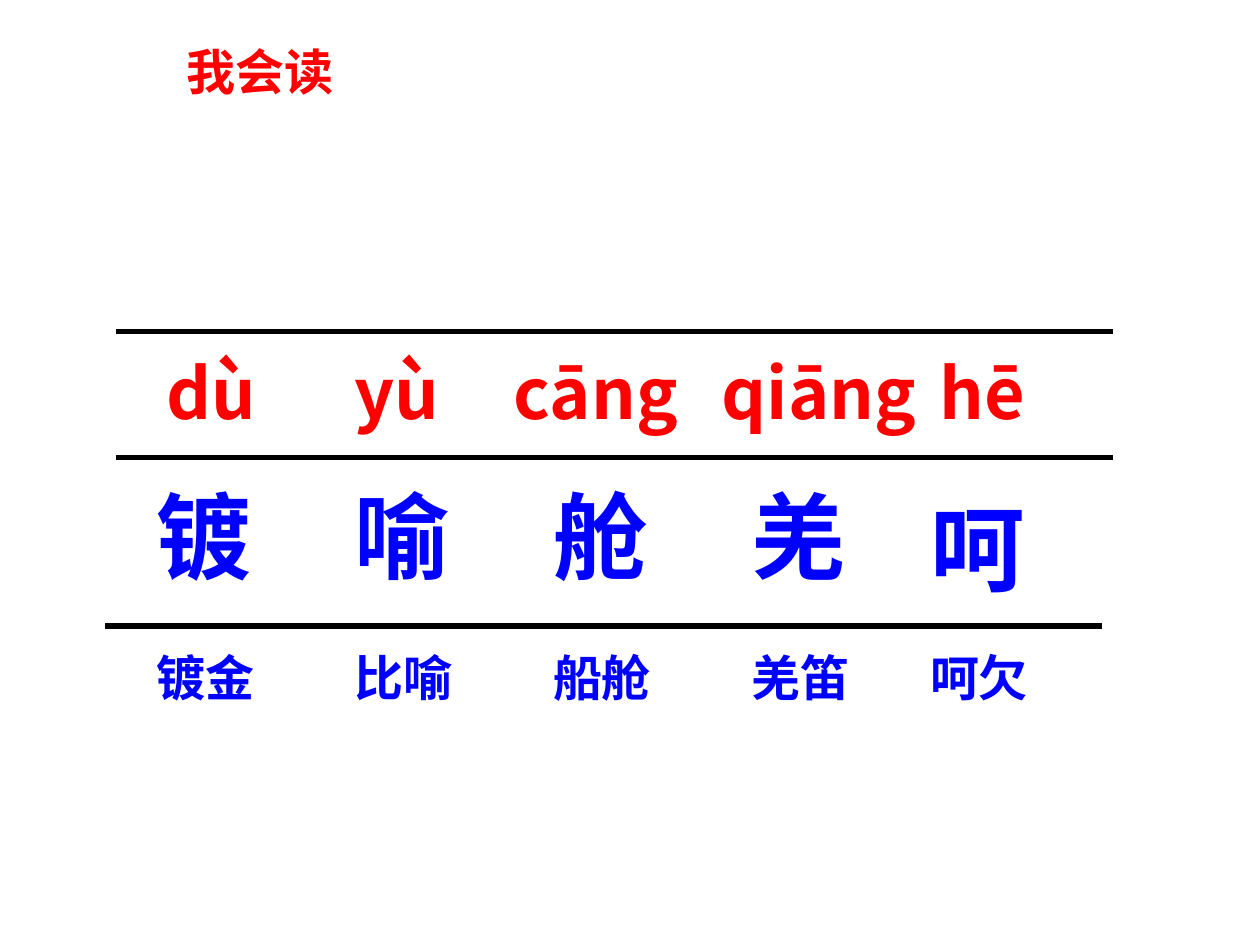
from lxml.etree import SubElement
from pptx import Presentation
from pptx.dml.color import RGBColor
from pptx.enum.shapes import MSO_CONNECTOR
from pptx.enum.text import MSO_ANCHOR, MSO_AUTO_SIZE, PP_ALIGN
from pptx.oxml.ns import qn
from pptx.util import Cm, Pt

COLORS = {"red": "FF0000", "blue": "0000FF", "black": "000000"}
LATIN_FONT = "Arial"
CHINESE_FONT = "Noto Sans CJK SC"
COLUMNS = [2.9, 6.9, 10.9, 14.9, 18.5]
PINYIN_COLUMNS = [3.1, 6.9, 10.11, 14.3, 18.69]
PINYIN_WIDTHS = [2.6, 3.32, 5.28, 5.28, 6.35]


def write_text(box, text, size=28, color="blue", font=LATIN_FONT):
    """Fill a box with one bold, left-aligned line of text."""
    frame = box.text_frame
    frame.word_wrap = True
    frame.auto_size = MSO_AUTO_SIZE.SHAPE_TO_FIT_TEXT
    frame.vertical_anchor = MSO_ANCHOR.TOP
    para = frame.paragraphs[0]
    para.alignment = PP_ALIGN.LEFT
    para.space_before = Pt(0)
    span = para.add_run()
    span.text = text
    span.font.name = font
    span.font.size = Pt(size)
    span.font.bold = True
    span.font.color.rgb = RGBColor.from_string(COLORS[color])
    SubElement(span.font._element, qn("a:ea"), typeface=CHINESE_FONT)


def add_title(page, left, top, width, height):
    """Move the title placeholder to its box and write the heading."""
    title = page.shapes.title
    title.left, title.top = Cm(left), Cm(top)
    title.width, title.height = Cm(width), Cm(height)
    write_text(title, "我会读", color="red")


def add_row(page, words, lefts, tops, widths, height, **style):
    """Place one row of words, each in its own text box."""
    for word, left, top, width in zip(words, lefts, tops, widths):
        box = page.shapes.add_textbox(Cm(left), Cm(top), Cm(width), Cm(height))
        write_text(box, word, **style)


def add_rule(page, left, top, width):
    """Draw one horizontal rule."""
    rule = page.shapes.add_connector(
        MSO_CONNECTOR.STRAIGHT, Cm(left), Cm(top), Cm(left + width), Cm(top)
    )
    rule.line.width = Pt(3)
    rule.line.color.rgb = RGBColor.from_string(COLORS["black"])
    SubElement(rule._element.spPr, qn("a:effectLst"))


def add_word_grid(page, left, top, width):
    """Place the pinyin, character and word rows with their rules."""
    add_row(page, "镀喻舱羌呵", COLUMNS, [top + 2.84] * 4 + [top + 3.07],
            [3.6] * 5, 2.54, size=54)
    add_row(page, ["镀金", "比喻", "船舱", "羌笛", "呵欠"], COLUMNS,
            [top + 6.25] * 5, [3.18] * 5, 1.45)
    add_row(page, ["dù", "yù", "cāng", "qiāng", "hē"], PINYIN_COLUMNS,
            [top + 0.25] * 5, PINYIN_WIDTHS, 1.96,
            size=40, color="red", font=CHINESE_FONT)
    for rule_left, offset in [(left, 0), (left, 2.54), (left - 0.21, 5.94)]:
        add_rule(page, rule_left, top + offset, width)


def main():
    """Build the reading slide and save the deck."""
    deck = Presentation()
    deck.slide_width, deck.slide_height = Cm(25.4), Cm(19.05)
    page = deck.slides.add_slide(deck.slide_layouts[5])
    add_title(page, left=3.5, top=0.71, width=3.6, height=1.45)
    add_word_grid(page, left=2.33, top=6.68, width=20.1)
    deck.save("out.pptx")


if __name__ == "__main__":
    main()
